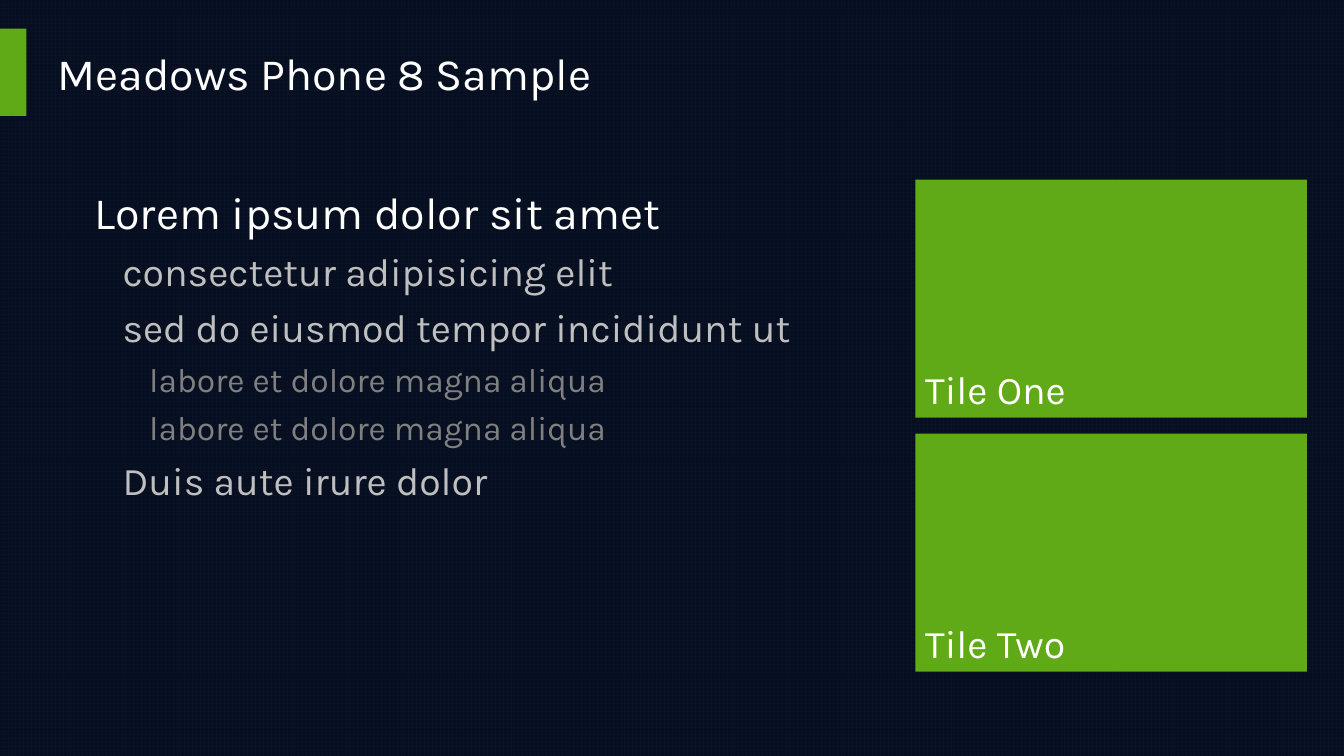
from pptx import Presentation
from pptx.dml.color import RGBColor
from pptx.enum.dml import MSO_PATTERN
from pptx.enum.shapes import MSO_SHAPE as SHAPE
from pptx.enum.text import MSO_ANCHOR as ANCHOR, PP_ALIGN as ALIGN
from pptx.util import Pt

COLORS = {
    "grid": "091225",
    "night": "070E1F",
    "green": "60A917",
    "white": "FFFFFF",
    "light": "BFBFBF",
    "gray": "808080",
}


def add_rect(left, top, width, height):
    sp = s.shapes.add_shape(SHAPE.RECTANGLE, Pt(left), Pt(top), Pt(width), Pt(height))
    sp.shadow.inherit = False
    sp.fill.solid()
    sp.fill.fore_color.rgb = RGBColor.from_string(COLORS["green"])
    sp.line.fill.background()
    return sp


def format_text(p, size, color):
    p.alignment = ALIGN.LEFT
    for r in p.runs:
        r.font.name = "Karla"
        r.font.size = Pt(size)
        r.font.color.rgb = RGBColor.from_string(COLORS[color])


prs = Presentation()
prs.slide_width, prs.slide_height = Pt(960), Pt(540)
s = prs.slides.add_slide(prs.slide_layouts[6])

background = s.background.fill
background.patterned()
background.pattern = MSO_PATTERN.LARGE_GRID
background.fore_color.rgb = RGBColor.from_string(COLORS["grid"])
background.back_color.rgb = RGBColor.from_string(COLORS["night"])

# Title with its accent bar
add_rect(0, 20.5, 18.8, 62.3)
title = s.shapes.add_textbox(Pt(34), Pt(20.9), Pt(680), Pt(61.2))
tf = title.text_frame
tf.word_wrap = True
tf.vertical_anchor = ANCHOR.MIDDLE
tf.text = "Meadows Phone 8 Sample"
format_text(tf.paragraphs[0], 32, "white")

# Tiles
for i, label in enumerate(["Tile One", "Tile Two"]):
    tile = add_rect(653.8, 128.4 + i * 181.4, 279.7, 169.9)
    tf = tile.text_frame
    tf.word_wrap = True
    tf.vertical_anchor = ANCHOR.BOTTOM
    tf.text = label
    format_text(tf.paragraphs[0], 28, "white")

# Outline: size, colour, left margin and space before for each level
levels = [
    (32, "white", 0, 4),
    (28, "light", 20, 6.5),
    (24, "gray", 39, 5.6),
]
outline = [
    (0, "Lorem ipsum dolor sit amet"),
    (1, "consectetur adipisicing elit"),
    (1, "sed do eiusmod tempor incididunt ut"),
    (2, "labore et dolore magna aliqua"),
    (2, "labore et dolore magna aliqua"),
    (1, "Duis aute irure dolor"),
]
body = s.shapes.add_textbox(Pt(60.5), Pt(128.2), Pt(561.6), Pt(356.4))
tf = body.text_frame
tf.word_wrap = True
tf.text = "\n".join(text for _, text in outline)
for p, (level, _) in zip(tf.paragraphs, outline):
    size, color, margin, space = levels[level]
    p.level = level
    p.space_before = Pt(space)
    pPr = p._p.get_or_add_pPr()
    pPr.set("marL", str(Pt(margin)))
    pPr.set("indent", "0")
    format_text(p, size, color)

prs.save("out.pptx")
